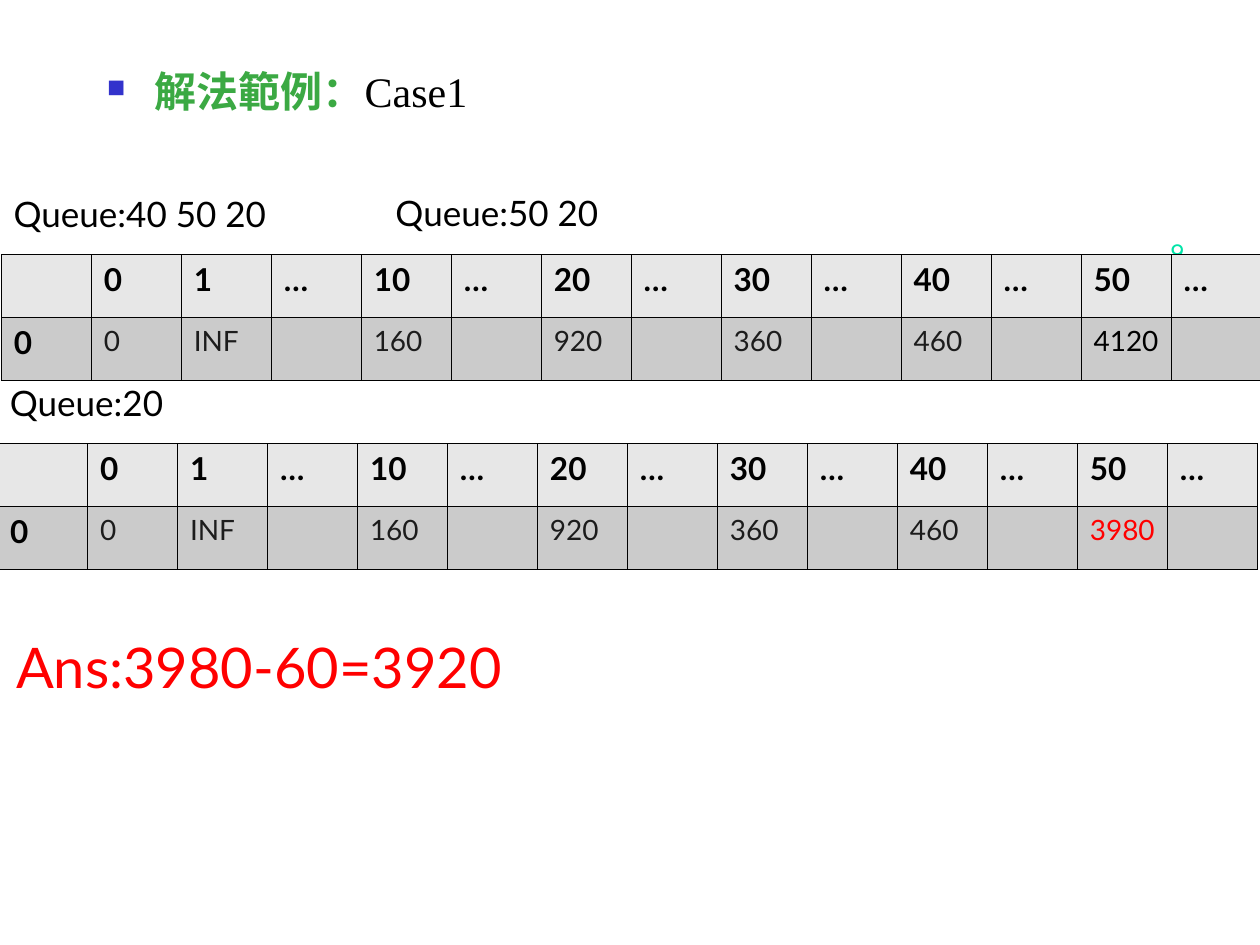
"""Build the worked-example slide with its two queue tables."""
from dataclasses import dataclass

from lxml.etree import SubElement
from pptx import Presentation
from pptx.dml.color import RGBColor as Rgb
from pptx.enum.text import MSO_ANCHOR as Anchor, MSO_AUTO_SIZE as AutoSize, PP_ALIGN as Align
from pptx.oxml.ns import qn
from pptx.util import Emu, Inches, Pt


@dataclass(frozen=True)
class Theme:
    """Colours, fonts and type sizes of the slide."""
    black: str = "000000"
    soft_black: str = "1C1C1C"
    red: str = "FF0000"
    green: str = "3BA943"
    blue: str = "3333CC"
    mint: str = "00E4A8"
    header_fill: str = "E7E7E7"
    body_fill: str = "CBCBCB"
    sans: str = "Lato"
    serif: str = "Times New Roman"
    answer: int = 32
    title: int = 24
    label: int = 20
    header: int = 18
    value: int = 16
    number: int = 14
    border: float = 0.45


THEME = Theme()
WIDTH, HEIGHT = Inches(10), Inches(7.5)
HEADERS = ["", "0", "1", "…", "10", "…", "20", "…", "30", "…", "40", "…", "50", "…"]
COSTS = ["0", "0", "INF", "", "160", "", "920", "", "360", "", "460", ""]
LABEL_HEIGHT = 5.87
ROW_HEIGHT = 5.66


def across(percent):
    """Return a percentage of the slide width."""
    return Emu(round(WIDTH * percent / 100))


def down(percent):
    """Return a percentage of the slide height."""
    return Emu(round(HEIGHT * percent / 100))


def write(para, text, size=THEME.label, color=THEME.black, font=THEME.sans, bold=False):
    """Add one formatted span of text to a paragraph."""
    span = para.add_run()
    span.text = text
    span.font.size = Pt(size)
    span.font.name = font
    span.font.bold = bold
    span.font.color.rgb = Rgb.from_string(color)


def add_box(page, left, top, width, height, grow=False):
    """Add a wrapping text box placed in percentages of the slide."""
    box = page.shapes.add_textbox(across(left), down(top), across(width), down(height))
    box.text_frame.word_wrap = True
    box.text_frame.auto_size = AutoSize.SHAPE_TO_FIT_TEXT if grow else AutoSize.NONE
    return box.text_frame


def add_label(page, text, left, top, width, height=LABEL_HEIGHT, **style):
    """Add a one-line label."""
    frame = add_box(page, left, top, width, height, grow=True)
    write(frame.paragraphs[0], text, **style)


def add_bullet(para, color, indent):
    """Give a paragraph a small square bullet with a hanging indent."""
    props = para._p.get_or_add_pPr()
    props.set("marL", str(indent))
    props.set("indent", str(-indent))
    tint = SubElement(props, qn("a:buClr"))
    SubElement(tint, qn("a:srgbClr"), val=color)
    SubElement(props, qn("a:buSzPct"), val="60000")
    SubElement(props, qn("a:buChar"), char="■")


def add_title(page):
    """Add the bulleted heading in two styles."""
    para = add_box(page, 7.5, 6.93, 85, 67.73).paragraphs[0]
    add_bullet(para, THEME.blue, Inches(0.38))
    para.line_spacing = 0.9
    style = {"size": THEME.title, "font": THEME.serif}
    write(para, "解法範例：", color=THEME.green, bold=True, **style)
    write(para, "Case1", **style)


def add_page_number(page):
    """Add the slide number, set bottom right in its box."""
    frame = add_box(page, 74.2, 22.27, 20.8, 6.67)
    frame.vertical_anchor = Anchor.BOTTOM
    frame.paragraphs[0].alignment = Align.RIGHT
    write(frame.paragraphs[0], "9", size=THEME.number, color=THEME.mint)


def outline(cell):
    """Draw a thin line on all four sides of a cell."""
    props = cell._tc.get_or_add_tcPr()
    for side in ("lnL", "lnR", "lnT", "lnB"):
        line = SubElement(props, qn(f"a:{side}"), w=str(Pt(THEME.border)))
        fill = SubElement(line, qn("a:solidFill"))
        SubElement(fill, qn("a:srgbClr"), val=THEME.black)


def fill_cell(cell, text, fill, **style):
    """Set the border, fill and text of a cell."""
    outline(cell)
    cell.fill.solid()
    cell.fill.fore_color.rgb = Rgb.from_string(fill)
    para = cell.text_frame.paragraphs[0]
    if text:
        write(para, text, **style)
    else:
        end = SubElement(para._p, qn("a:endParaRPr"), sz=str(THEME.title * 100))
        SubElement(end, qn("a:latin"), typeface=THEME.sans)


def add_cost_table(page, left, top, last_cost, last_color):
    """Add a table of costs by capacity, with its last cost in a given colour."""
    count = len(HEADERS)
    table = page.shapes.add_table(
        2, count, across(left), down(top), across(100), down(2 * ROW_HEIGHT)).table
    table.first_row = table.horz_banding = False
    for column in table.columns:
        column.width = across(100 / count)
    heading = {"size": THEME.header, "bold": True}
    for index, text in enumerate(HEADERS):
        fill_cell(table.cell(0, index), text, THEME.header_fill, **heading)
    for index, text in enumerate(COSTS + [last_cost, ""]):
        color = last_color if text == last_cost else THEME.soft_black
        style = {"size": THEME.value, "color": color} if index else heading
        fill_cell(table.cell(1, index), text, THEME.body_fill, **style)


def main():
    """Build and save the slide."""
    deck = Presentation()
    deck.slide_width, deck.slide_height = WIDTH, HEIGHT
    page = deck.slides.add_slide(deck.slide_layouts[6])
    add_title(page)
    add_cost_table(page, -0.2, 46.93, "3980", THEME.red)
    add_label(page, "Queue:20", -0.2, 39.73, 26.8)
    add_label(page, "Ans:3980-60=3920", 0.3, 66.27, 40.6, 8.53,
              size=THEME.answer, color=THEME.red)
    add_page_number(page)
    add_cost_table(page, 0.1, 26.93, "4120", THEME.black)
    add_label(page, "Queue:40 50 20", 0.1, 19.73, 31.9)
    add_label(page, "Queue:50 20", 30.4, 19.6, 31.9)
    deck.save("out.pptx")


if __name__ == "__main__":
    main()
